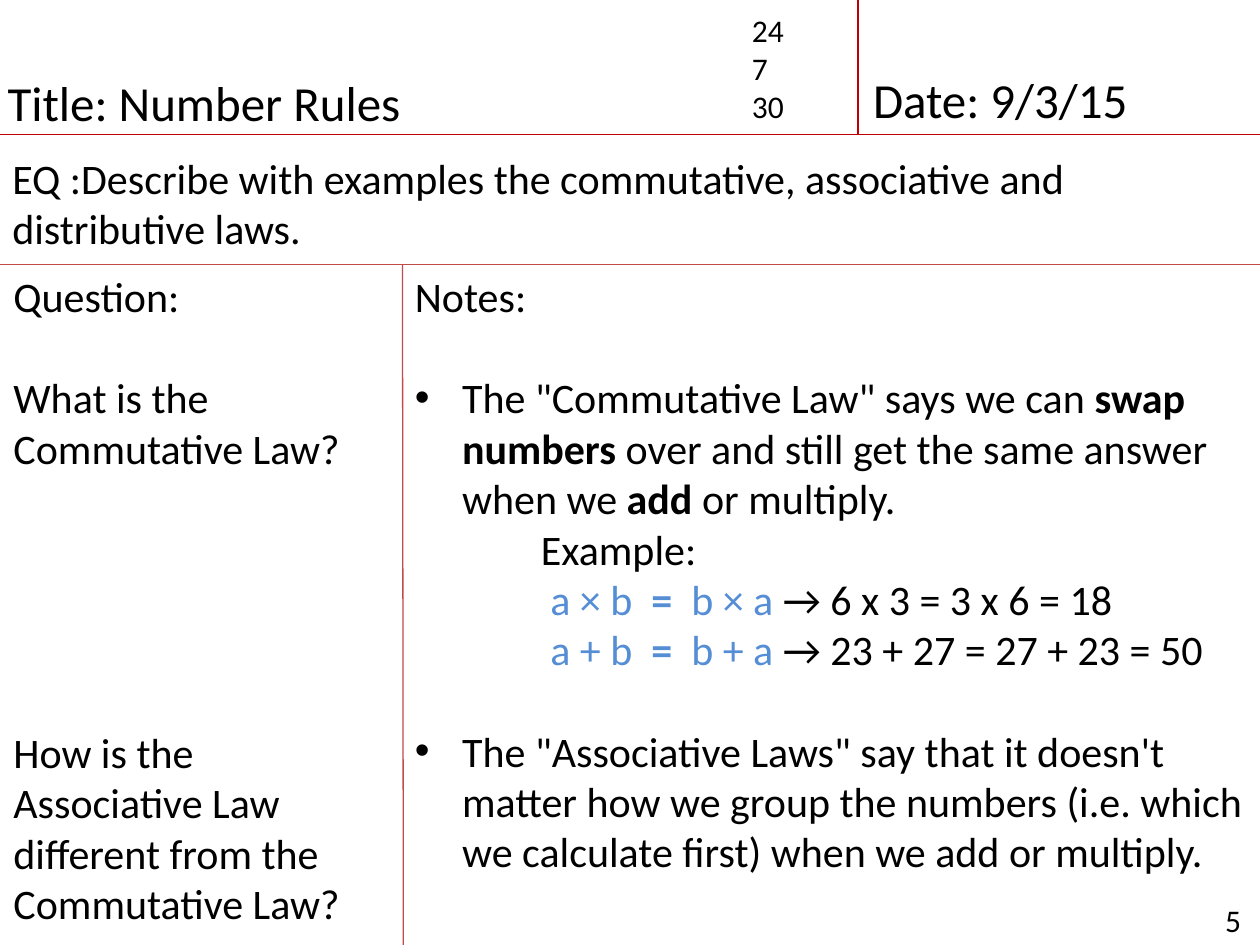
from lxml import etree
from pptx import Presentation
from pptx.dml.color import RGBColor
from pptx.enum.shapes import MSO_CONNECTOR
from pptx.enum.text import MSO_ANCHOR, MSO_AUTO_SIZE, PP_ALIGN
from pptx.oxml.ns import qn
from pptx.util import Pt

STRAIGHT = MSO_CONNECTOR.STRAIGHT
TOP = MSO_ANCHOR.TOP
FIXED = MSO_AUTO_SIZE.NONE
LEFT = PP_ALIGN.LEFT

HUES = {"ink": "000000", "red": "C00000", "rose": "BF4C48", "blue": "558ED5"}
FACE = "Calibri"
WIDE, HIGH = 720, 540
HEAD, BAND, SPLIT, DATE = 77, 151.2, 230, 490.3
ROW = 29


def rule(slide, ends, hue):
    """Draw a thin straight line between two points."""
    line = slide.shapes.add_connector(STRAIGHT, *map(Pt, ends))
    line.line.color.rgb = RGBColor.from_string(HUES[hue])
    line.line.width = Pt(0.75)
    etree.SubElement(line._element.spPr, qn("a:effectLst"))


def place(shape, box):
    """Fit a text shape to a box and return its text frame."""
    shape.left, shape.top, shape.width, shape.height = map(Pt, box)
    frame = shape.text_frame
    frame.word_wrap = True
    frame.auto_size = FIXED
    frame.vertical_anchor = TOP
    return frame


def write(para, runs, size, gap=0, left=0, dot=False):
    """Fill a paragraph with (text, bold, hue) runs."""
    props = para._p.get_or_add_pPr()
    if left:
        props.set("marL", str(Pt(left)))
    if dot:
        props.set("indent", str(-Pt(left)))
        etree.SubElement(props, qn("a:buFont"), typeface="Arial")
        etree.SubElement(props, qn("a:buChar"), char="•")
    para.alignment = LEFT
    if gap:
        para.space_before = Pt(gap)
    para.font.name = FACE
    para.font.size = Pt(size)
    para.font.color.rgb = RGBColor.from_string(HUES["ink"])
    for text, bold, hue in runs:
        run = para.add_run()
        run.text = text
        if bold:
            run.font.bold = True
        if hue != "ink":
            run.font.color.rgb = RGBColor.from_string(HUES[hue])


def plain(text):
    """Return the runs of an even paragraph."""
    return [(text, False, "ink")]


def block(slide, box, items, size):
    """Add a text box from (runs, options) paragraphs."""
    frame = place(slide.shapes.add_textbox(0, 0, 0, 0), box)
    for i, (runs, opts) in enumerate(items):
        para = frame.add_paragraph() if i else frame.paragraphs[0]
        write(para, runs, size, **opts)


def header(slide, box):
    """Place title, tally and date above a red rule."""
    x, y, wide, high = box
    end = y + high
    rule(slide, (x, end, x + wide, end), "red")
    rule(slide, (DATE, y, DATE, end), "red")
    frame = place(slide.shapes.title, (x - 2.9, end - 38.9, 586, 41))
    write(frame.paragraphs[0], plain("Title: Number Rules"), 28)
    block(slide, (DATE + 1.5, end - 41, 196.5, 41),
          [(plain("Date: 9/3/15"), {})], 28)
    block(slide, (DATE - 67.7, y + 2.9, 67.7, 72.7),
          [(plain(text), {}) for text in ("24", "7", "30")], 18)


def aim(slide, box):
    """Place the essential question above a rose rule."""
    x, y, wide, high = box
    rule(slide, (x, y + high, x + wide, y + high), "rose")
    text = ("EQ :Describe with examples the commutative, "
            "associative and distributive laws.")
    block(slide, (x, y + 6.5, 688.3, 65.5), [(plain(text), {})], 24)


def cues(slide, box):
    """Place the question column and the rule on its right."""
    x, y, wide, high = box
    rule(slide, (x + wide, y, x + wide + 0.5, y + high), "rose")
    block(slide, (x + 0.6, y, wide, high - 3.6), [
        (plain("Question:"), {}),
        (plain("What is the Commutative Law?"), {"gap": ROW}),
        (plain("How is the Associative Law different from "
               "the Commutative Law?"), {"gap": 5 * ROW}),
    ], 24)


def law(sign, proof):
    """Return the runs of one law with its worked example."""
    return [(f"a {sign} b", False, "blue"), ("  =  ", True, "blue"),
            (f"b {sign} a ", False, "blue"), (f"→ {proof}", False, "ink")]


def notes(slide, box):
    """Place the notes column."""
    x, y, wide, high = box
    swap = [
        ('The "Commutative Law" says we can ', False, "ink"),
        ("swap numbers", True, "ink"),
        (" over and still get the same answer when we ", False, "ink"),
        ("add ", True, "ink"),
        ("or multiply.", False, "ink"),
    ]
    group = plain('The "Associative Laws" say that it doesn\'t matter how we '
                  "group the numbers (i.e. which we calculate first) "
                  "when we add or multiply.")
    point = {"gap": ROW, "left": 27, "dot": True}
    block(slide, (x, y, wide, high - 3.6), [
        (plain("Notes:"), {}),
        (swap, point),
        (plain("Example:"), {"left": 72}),
        (law("×", "6 x 3 = 3 x 6 = 18"), {"left": 77.4}),
        (law("+", "23 + 27 = 27 + 23 = 50"), {"left": 77.4}),
        (group, point),
    ], 24)


def folio(slide, box):
    """Place the page number."""
    block(slide, box, [(plain("5"), {})], 18)


def main():
    """Build the notes slide and save it."""
    deck = Presentation()
    deck.slide_width, deck.slide_height = Pt(WIDE), Pt(HIGH)
    slide = deck.slides.add_slide(deck.slide_layouts[5])
    folio(slide, (693, 511.2, 39, 29))
    header(slide, (0, 0, WIDE, HEAD))
    aim(slide, (0, HEAD, WIDE, BAND - HEAD))
    cues(slide, (0, BAND, SPLIT, HIGH - BAND))
    notes(slide, (SPLIT, BAND, WIDE - SPLIT, HIGH - BAND))
    deck.save("out.pptx")


if __name__ == "__main__":
    main()
